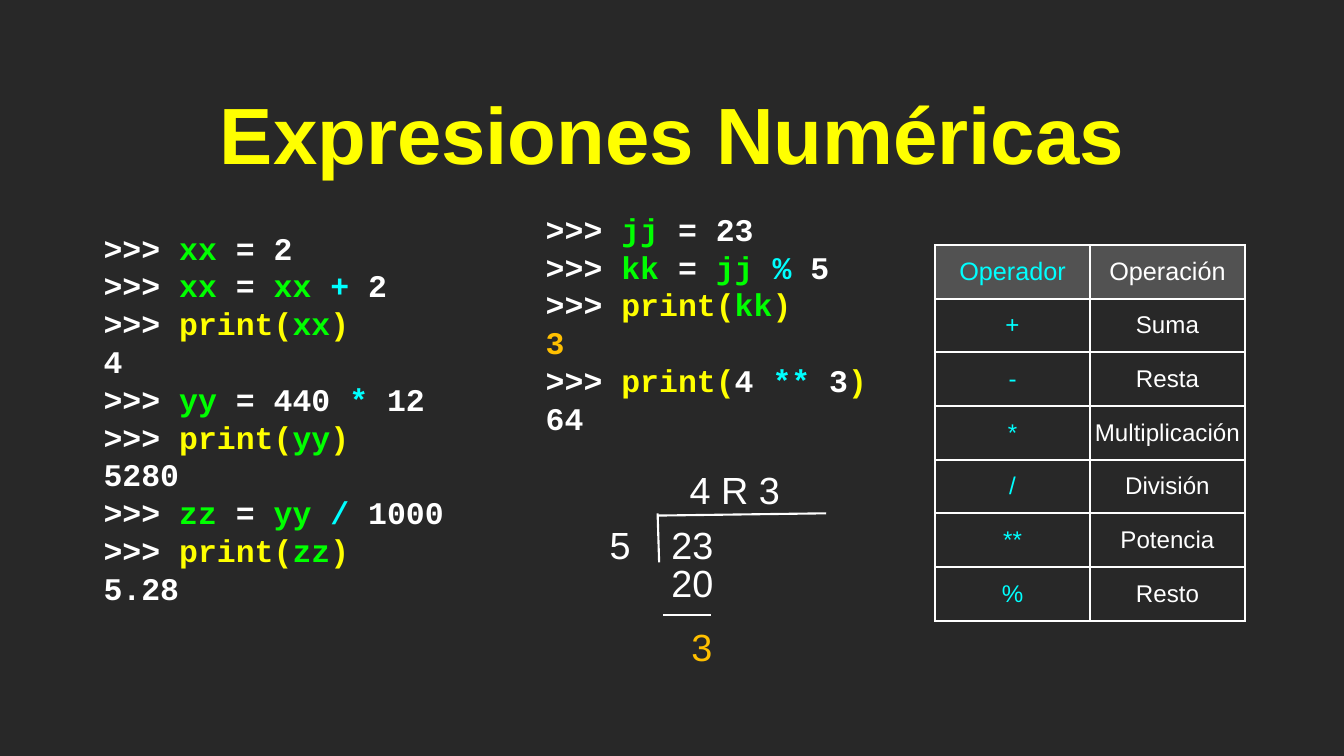
import pptx
import pptx.util
import pptx.dml.color
import pptx.enum.shapes
import pptx.enum.text
import pptx.oxml
import pptx.oxml.ns
from lxml import etree

Inches, Pt = pptx.util.Inches, pptx.util.Pt
RGB = pptx.dml.color.RGBColor.from_string
ALIGN = pptx.enum.text.PP_ALIGN
MIDDLE = pptx.enum.text.MSO_ANCHOR.MIDDLE

THEME = {
    "colour": {"ground": "282828", "plain": "FFFFFF", "name": "00FF00", "operator": "00FFFF",
               "call": "FFFF00", "remainder": "FFC000", "header": "7F7F7F"},
    "size": {"title": 76, "code": 30, "header": 24, "cell": 23, "division": 36},
    "font": {"text": "Arial", "code": "Courier New"},
    "line": 2,
    "header_alpha": 49,
}
WIDTH, HEIGHT = 17.78, 10

TITLE = "Expresiones Numéricas"
PROMPT = (">>> ", "plain")


def print_line(name):
    return [PROMPT, ("print(", "call"), (name, "name"), (")", "call")]


def output_line(value, role="plain"):
    return [(value, role)]


CODE_BLOCKS = [
    ((1.37, 2.62, 4.88, 5.81), [
        [PROMPT, ("xx", "name"), (" = 2", "plain")],
        [PROMPT, ("xx", "name"), (" = ", "plain"), ("xx ", "name"), ("+", "operator"), (" 2", "plain")],
        print_line("xx"),
        output_line("4"),
        [PROMPT, ("yy", "name"), (" = 440 ", "plain"), ("*", "operator"), (" 12", "plain")],
        print_line("yy"),
        output_line("5280"),
        [PROMPT, ("zz", "name"), (" = ", "plain"), ("yy ", "name"), ("/", "operator"), (" 1000", "plain")],
        print_line("zz"),
        output_line("5.28"),
    ]),
    ((7.22, 2.51, 4.4, 3.53), [
        [PROMPT, ("jj", "name"), (" = 23", "plain")],
        [PROMPT, ("kk", "name"), (" = ", "plain"), ("jj ", "name"), ("% ", "operator"), ("5", "plain")],
        print_line("kk"),
        output_line("3", "remainder"),
        [PROMPT, ("print(", "call"), ("4 ", "plain"), ("**", "operator"), (" 3", "plain"), (")", "call")],
        output_line("64"),
    ]),
]

OPERATORS = [
    ("Operador", "Operación"),
    ("+", "Suma"),
    ("-", "Resta"),
    ("*", "Multiplicación"),
    ("/", "División"),
    ("**", "Potencia"),
    ("%", "Resto"),
]
TABLE_LEFT, TABLE_TOP, COLUMN, ROW = 12.37, 3.24, 2.05, 0.71

DIGIT_HEIGHT = 0.68
DIVISION = [  # text, left, top, width, colour role
    ("5", 8.02, 6.86, 0.37, "plain"),
    ("23", 8.85, 6.86, 0.62, "plain"),
    ("4 R 3", 9.12, 6.13, 1.2, "plain"),
    ("20", 8.85, 7.36, 0.62, "plain"),
    ("3", 9.1, 8.21, 0.37, "remainder"),
]
DIVISION_LINES = [
    (8.7, 6.79, 8.72, 7.44),
    (8.7, 6.82, 10.93, 6.79),
    (8.77, 8.14, 9.41, 8.14),
]


def style(span, role, size, font="text", bold=False):
    span.font.name = THEME["font"][font]
    span.font.size = Pt(THEME["size"][size])
    span.font.bold = bold
    span.font.color.rgb = RGB(THEME["colour"][role])


def set_frame(frame, margin, wrap=True):
    frame.margin_left = frame.margin_right = Inches(margin)
    frame.margin_top = frame.margin_bottom = Inches(margin)
    frame.vertical_anchor = MIDDLE
    frame.word_wrap = wrap


def add_title(page):
    title = page.shapes.title
    title.left, title.top, title.width, title.height = map(Inches, (0.89, 1.09, 16, 1.34))
    title.text_frame.text = TITLE
    set_frame(title.text_frame, 0.04)
    para = title.text_frame.paragraphs[0]
    para.alignment = ALIGN.CENTER
    style(para.runs[0], "call", "title", bold=True)


def add_code(page, place, lines):
    frame = page.shapes.add_textbox(*map(Inches, place)).text_frame
    set_frame(frame, 0)
    for index, line in enumerate(lines):
        para = frame.add_paragraph() if index else frame.paragraphs[0]
        for text, role in line:
            span = para.add_run()
            span.text = text
            style(span, role, "code", "code", bold=True)


def set_borders(cell):
    properties = cell._tc.get_or_add_tcPr()
    for index, side in enumerate(("lnL", "lnR", "lnT", "lnB")):
        border = pptx.oxml.parse_xml(
            f'<a:{side} {pptx.oxml.ns.nsdecls("a")} w="{Pt(THEME["line"])}"><a:solidFill>'
            f'<a:srgbClr val="{THEME["colour"]["plain"]}"/></a:solidFill></a:{side}>')
        properties.insert(index, border)


def fill_header(cell):
    cell.fill.solid()
    cell.fill.fore_color.rgb = RGB(THEME["colour"]["header"])
    colour = cell._tc.tcPr.find(".//" + pptx.oxml.ns.qn("a:srgbClr"))
    etree.SubElement(colour, pptx.oxml.ns.qn("a:alpha"), val=str(THEME["header_alpha"] * 1000))


def add_operator_table(page):
    rows, columns = len(OPERATORS), len(OPERATORS[0])
    place = (TABLE_LEFT, TABLE_TOP, columns * COLUMN, rows * ROW)
    table = page.shapes.add_table(rows, columns, *map(Inches, place)).table
    table.first_row = table.horz_banding = False
    for row_index, row in enumerate(OPERATORS):
        table.rows[row_index].height = Inches(ROW)
        for column_index, text in enumerate(row):
            cell = table.cell(row_index, column_index)
            cell.text = text
            cell.vertical_anchor = MIDDLE
            cell.margin_left = cell.margin_right = Inches(0.04)
            cell.margin_top = cell.margin_bottom = Inches(0.04)
            para = cell.text_frame.paragraphs[0]
            para.alignment = ALIGN.CENTER
            style(para.runs[0], "plain" if column_index else "operator",
                  "cell" if row_index else "header")
            if row_index:
                cell.fill.background()
            else:
                fill_header(cell)
            set_borders(cell)


def add_division(page):
    for ends in DIVISION_LINES:
        line = page.shapes.add_connector(
            pptx.enum.shapes.MSO_CONNECTOR.STRAIGHT, *map(Inches, ends))
        line.line.color.rgb = RGB(THEME["colour"]["plain"])
        line.line.width = Pt(THEME["line"])
        etree.SubElement(line._element.spPr, pptx.oxml.ns.qn("a:effectLst"))
    for text, left, top, width, role in DIVISION:
        box = page.shapes.add_textbox(*map(Inches, (left, top, width, DIGIT_HEIGHT)))
        box.text_frame.text = text
        set_frame(box.text_frame, 0, wrap=False)
        para = box.text_frame.paragraphs[0]
        para.alignment = ALIGN.CENTER
        style(para.runs[0], role, "division")


def main():
    deck = pptx.Presentation()
    deck.slide_width, deck.slide_height = Inches(WIDTH), Inches(HEIGHT)
    page = deck.slides.add_slide(deck.slide_layouts.get_by_name("Title Only"))
    page.background.fill.solid()
    page.background.fill.fore_color.rgb = RGB(THEME["colour"]["ground"])
    add_title(page)
    for place, lines in CODE_BLOCKS:
        add_code(page, place, lines)
    add_operator_table(page)
    add_division(page)
    deck.save("out.pptx")


if __name__ == "__main__":
    main()
